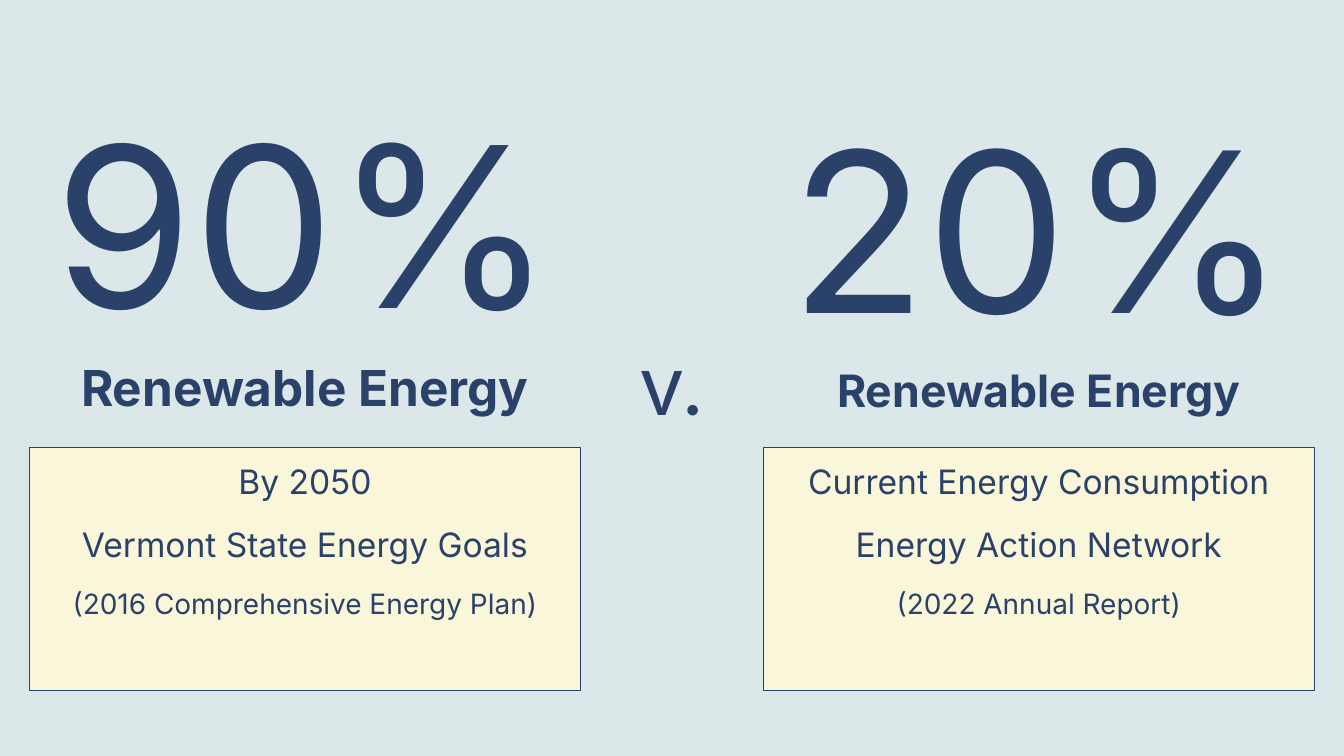
import pptx
import pptx.util
import pptx.dml.color
import pptx.enum.shapes
import pptx.enum.text
from dataclasses import dataclass

Inches = pptx.util.Inches
Anchor = pptx.enum.text.MSO_ANCHOR

COLUMNS = [
    {
        "headline": [("90%", 120), ("Renewable Energy", 26.5)],
        "details": ["By 2050", "Vermont State Energy Goals", "(2016 Comprehensive Energy Plan)"],
    },
    {
        "headline": [("20%", 119.7), ("Renewable Energy", 23.9)],
        "details": ["Current Energy Consumption", "Energy Action Network", "(2022 Annual Report)"],
    },
]
VERSUS = "v."


@dataclass(frozen=True)
class Theme:
    font: str = "Inter"
    navy: str = "2A4269"
    cream: str = "FAF6D9"
    mist: str = "DCE7E9"
    versus_size: float = 43.2
    detail_sizes: tuple = (18, 18, 15)
    detail_gap: float = 12
    headline_spacing: float = 0.97
    outline: float = 0.75


THEME = Theme()
WIDTH = 10
HEIGHT = WIDTH * 9 / 16
MARGIN, COLUMN_WIDTH = 0.22, 4.1
HEADLINE_TOP, HEADLINE_HEIGHT = 0.48, 2.73
CARD_TOP, CARD_HEIGHT = 3.33, 1.81
VERSUS_TOP, VERSUS_SIDE = 2.38, 0.93
INSET = 0.1


def color(value):
    return pptx.dml.color.RGBColor.from_string(value)


def apply(target, values):
    for name, value in values.items():
        setattr(target, name, value)


def write(box, lines, anchor):
    frame = box.text_frame
    apply(frame, {"word_wrap": True, "vertical_anchor": anchor})
    apply(frame, {f"margin_{side}": Inches(INSET) for side in ("left", "top", "right", "bottom")})
    for index, (text, size, bold, layout) in enumerate(lines):
        para = frame.add_paragraph() if index else frame.paragraphs[0]
        apply(para, {"alignment": pptx.enum.text.PP_ALIGN.CENTER, **layout})
        span = para.add_run()
        span.text = text
        apply(span.font, {"name": THEME.font, "size": pptx.util.Pt(size), "bold": bold})
        span.font.color.rgb = color(THEME.navy)


def add_headline(page, left, content):
    box = page.shapes.add_textbox(*map(Inches, (left, HEADLINE_TOP, COLUMN_WIDTH, HEADLINE_HEIGHT)))
    layout = {"line_spacing": THEME.headline_spacing}
    write(box, [(text, size, index > 0, layout) for index, (text, size) in enumerate(content)], Anchor.BOTTOM)


def add_card(page, left, details):
    card = page.shapes.add_shape(
        pptx.enum.shapes.MSO_SHAPE.RECTANGLE,
        *map(Inches, (left, CARD_TOP, COLUMN_WIDTH, CARD_HEIGHT)),
    )
    card.shadow.inherit = False
    card.fill.solid()
    card.fill.fore_color.rgb = color(THEME.cream)
    card.line.color.rgb = color(THEME.navy)
    card.line.width = pptx.util.Pt(THEME.outline)
    gap = pptx.util.Pt(THEME.detail_gap)
    layouts = [{}, {"space_before": gap}, {"space_before": gap, "space_after": gap}]
    lines = [
        (text, size, False, layout)
        for text, size, layout in zip(details, THEME.detail_sizes, layouts)
    ]
    write(card, lines, Anchor.TOP)


def add_versus(page):
    left = (WIDTH - VERSUS_SIDE) / 2
    box = page.shapes.add_textbox(*map(Inches, (left, VERSUS_TOP, VERSUS_SIDE, VERSUS_SIDE)))
    write(box, [(VERSUS, THEME.versus_size, False, {})], Anchor.BOTTOM)


def main():
    """Build the slide comparing the renewable energy goal with current use."""
    deck = pptx.Presentation()
    apply(deck, {"slide_width": Inches(WIDTH), "slide_height": Inches(HEIGHT)})
    page = deck.slides.add_slide(deck.slide_layouts[6])
    page.background.fill.solid()
    page.background.fill.fore_color.rgb = color(THEME.mist)
    for left, column in zip((MARGIN, WIDTH - MARGIN - COLUMN_WIDTH), COLUMNS):
        add_headline(page, left, column["headline"])
        add_card(page, left, column["details"])
    add_versus(page)
    deck.save("out.pptx")


if __name__ == "__main__":
    main()
